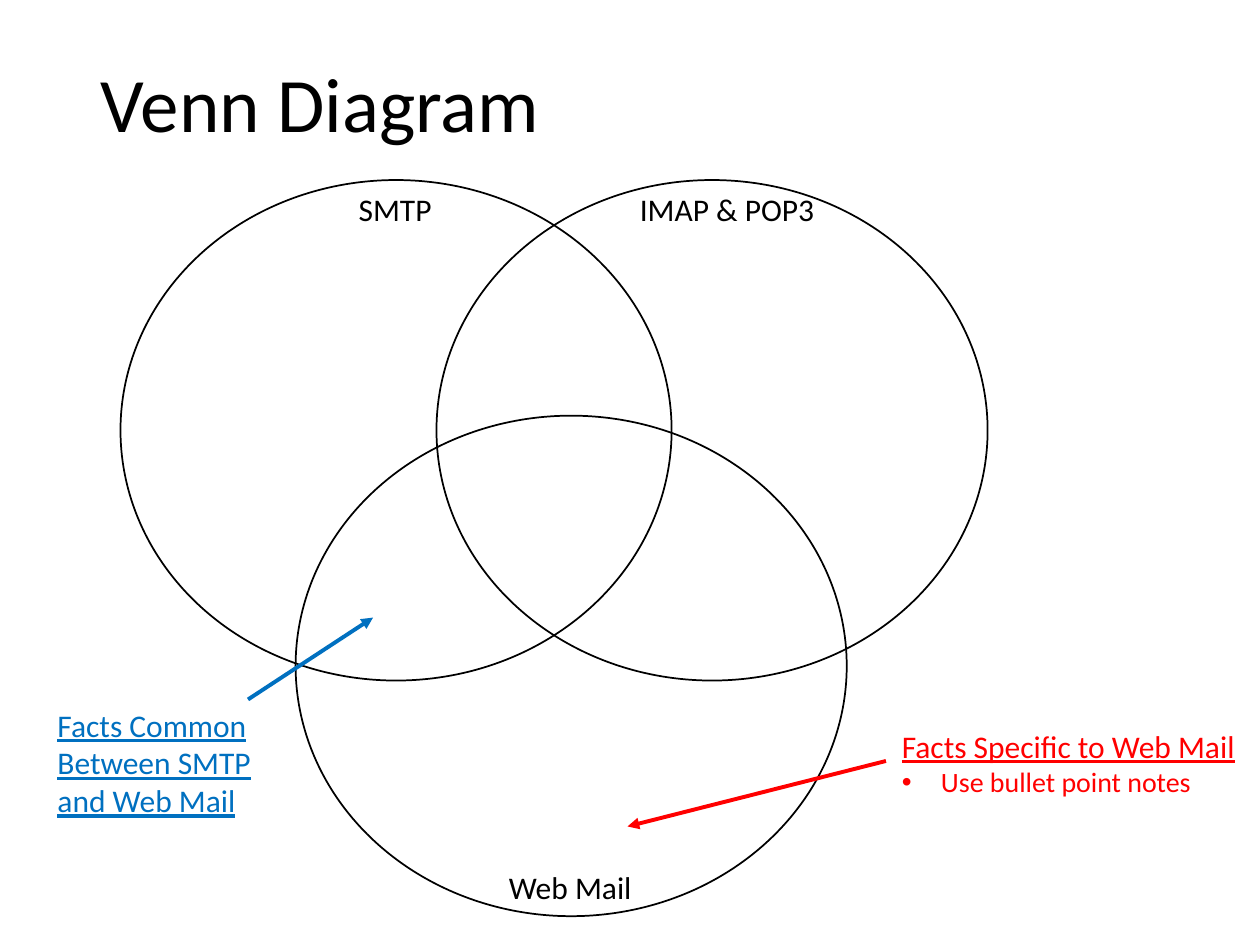
from lxml.etree import SubElement
from pptx import Presentation
from pptx.dml.color import RGBColor
from pptx.enum.shapes import MSO_CONNECTOR, MSO_SHAPE
from pptx.enum.text import MSO_ANCHOR, MSO_AUTO_SIZE, PP_ALIGN
from pptx.oxml.ns import qn
from pptx.util import Cm, Pt

hues = {"black": "000000", "red": "FF0000", "blue": "0070C0"}


def style(para, size, hue):
    para.font.name = "Calibri"
    para.font.size = Pt(size)
    para.font.color.rgb = RGBColor.from_string(hues[hue])


def label(x, y, wide, high, hue, lines):
    box = slide.shapes.add_textbox(Cm(x), Cm(y), Cm(wide), Cm(high))
    frame = box.text_frame
    frame.word_wrap = False
    frame.auto_size = MSO_AUTO_SIZE.SHAPE_TO_FIT_TEXT
    for i, line in enumerate(lines):
        para = frame.add_paragraph() if i else frame.paragraphs[0]
        para.text = line
        style(para, 18, hue)
        para.font.underline = hue != "black"
    return frame


deck = Presentation()
deck.slide_width, deck.slide_height = Cm(25.4), Cm(19.05)
slide = deck.slides.add_slide(deck.slide_layouts[5])

# Title
title = slide.shapes.title
title.left, title.top, title.width, title.height = Cm(1.78), Cm(0.33), Cm(21.9), Cm(3.68)
title.text_frame.text = "Venn Diagram"
title.text_frame.vertical_anchor = MSO_ANCHOR.MIDDLE
head = title.text_frame.paragraphs[0]
head.alignment = PP_ALIGN.LEFT
head.line_spacing = 0.9
style(head, 44, "black")

# Three overlapping circles
for x, y in [(2.43, 3.63), (8.8, 3.63), (5.96, 8.38)]:
    ring = slide.shapes.add_shape(MSO_SHAPE.OVAL, Cm(x), Cm(y), Cm(11.11), Cm(10.09))
    ring.shadow.inherit = False
    ring.fill.background()
    ring.line.color.rgb = RGBColor.from_string(hues["black"])
    ring.line.width = Pt(1)

# Circle names
for name, x, y, wide in [("SMTP", 6.98, 3.71, 2.01), ("Web Mail", 10.01, 17.37, 3.02),
                         ("IMAP & POP3", 12.65, 3.71, 4.06)]:
    label(x, y, wide, 1.02, "black", [name])

# Notes on the regions
label(0.91, 14.1, 4.45, 2.57, "blue", ["Facts Common\nBetween SMTP", "and Web Mail"])
facts = label(17.93, 14.53, 7.32, 1.7, "red", ["Facts Specific to Web Mail"])
note = facts.add_paragraph()
note.text = "Use bullet point notes"
props = note._p.get_or_add_pPr()
props.set("marL", str(Cm(0.79)))
props.set("indent", str(-Cm(0.79)))
SubElement(props, qn("a:buFont")).set("typeface", "Arial")
SubElement(props, qn("a:buChar")).set("char", "•")
style(note, 16, "red")

# Arrows from notes to regions
for hue, x1, y1, x2, y2 in [("red", 17.86, 15.34, 12.65, 16.66),
                            ("blue", 5, 14.1, 7.52, 12.45)]:
    arrow = slide.shapes.add_connector(MSO_CONNECTOR.STRAIGHT, Cm(x1), Cm(y1), Cm(x2), Cm(y2))
    arrow.line.color.rgb = RGBColor.from_string(hues[hue])
    arrow.line.width = Pt(2.25)
    SubElement(arrow.line._get_or_add_ln(), qn("a:tailEnd")).set("type", "triangle")
    SubElement(arrow._element.spPr, qn("a:effectLst"))

deck.save("out.pptx")
